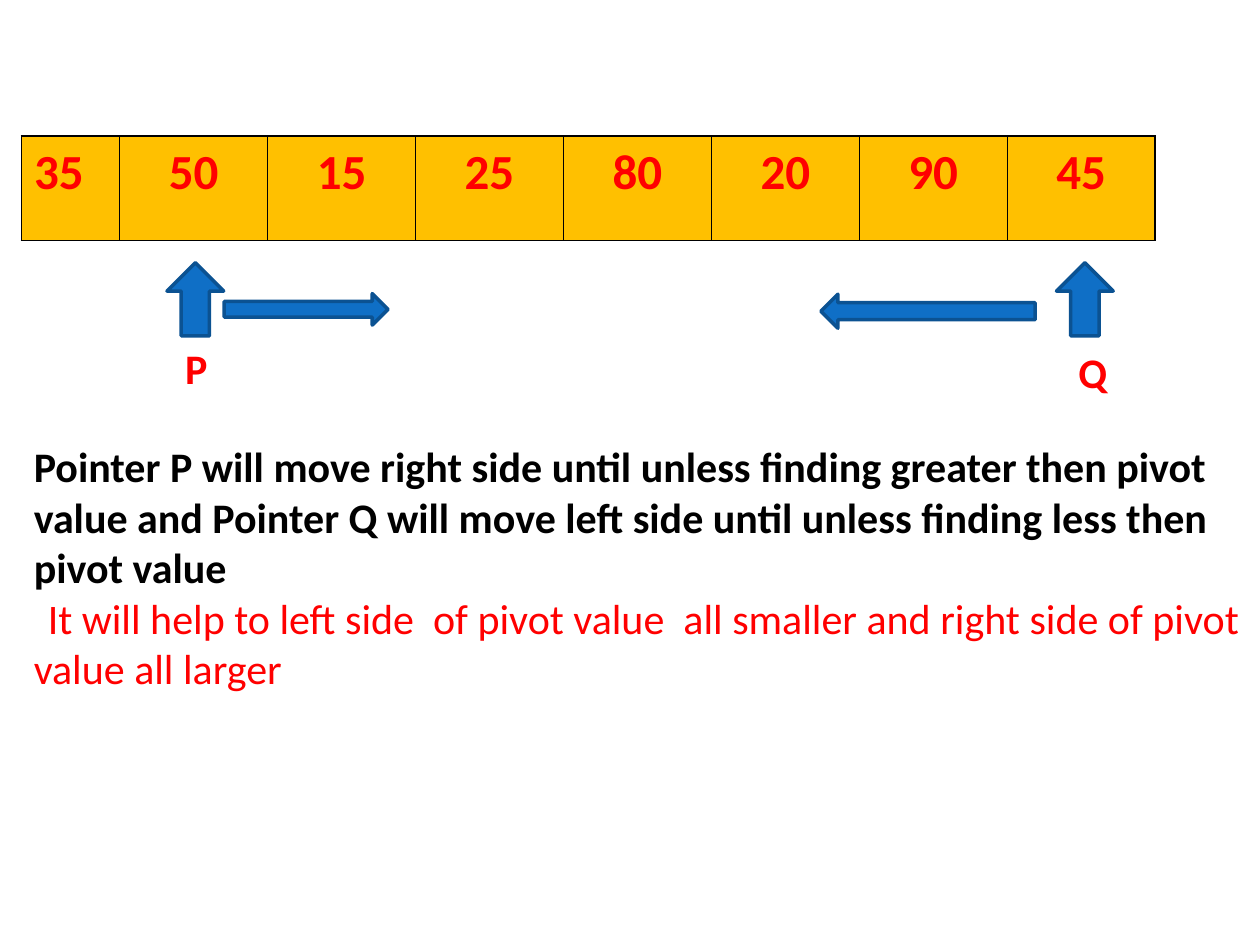
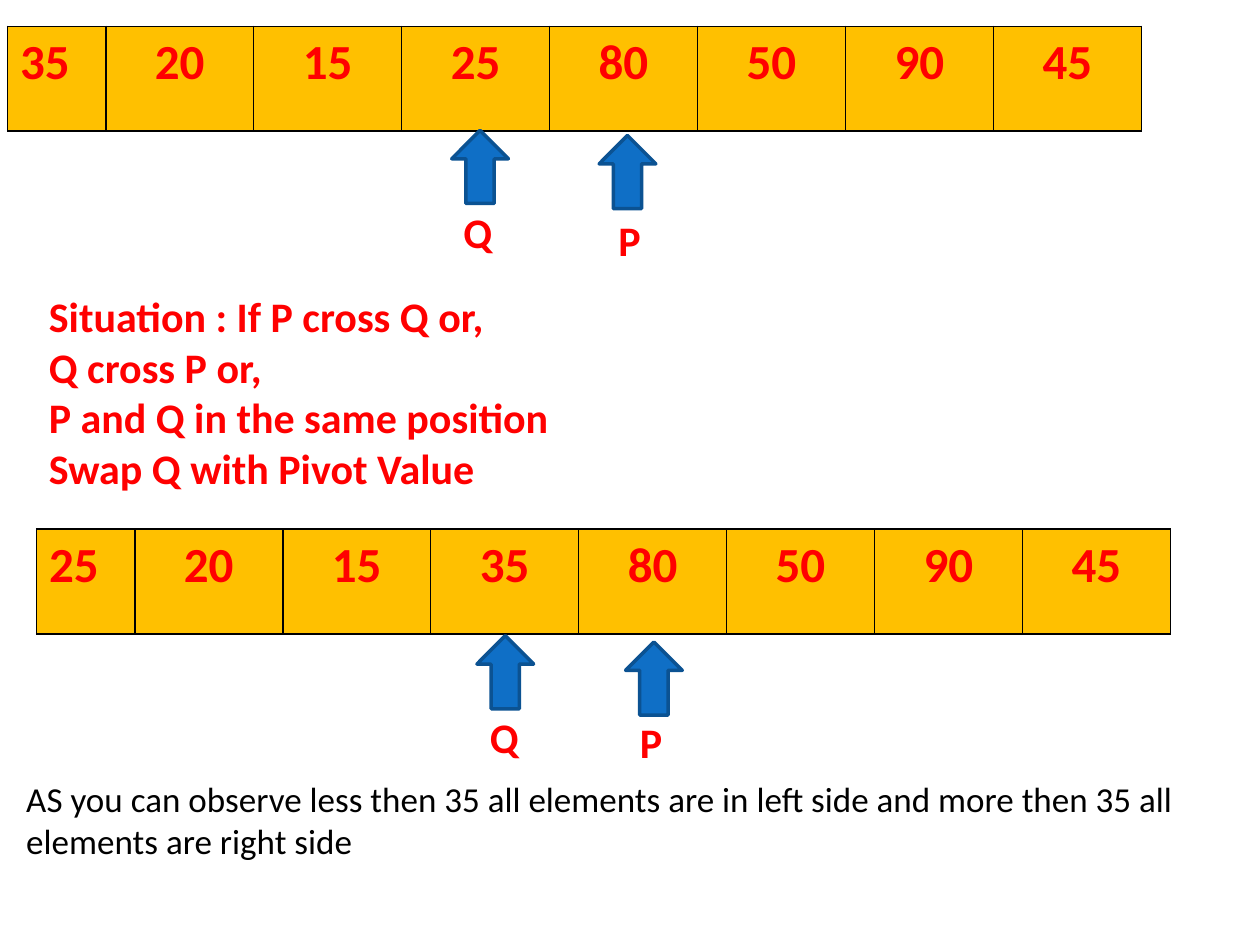
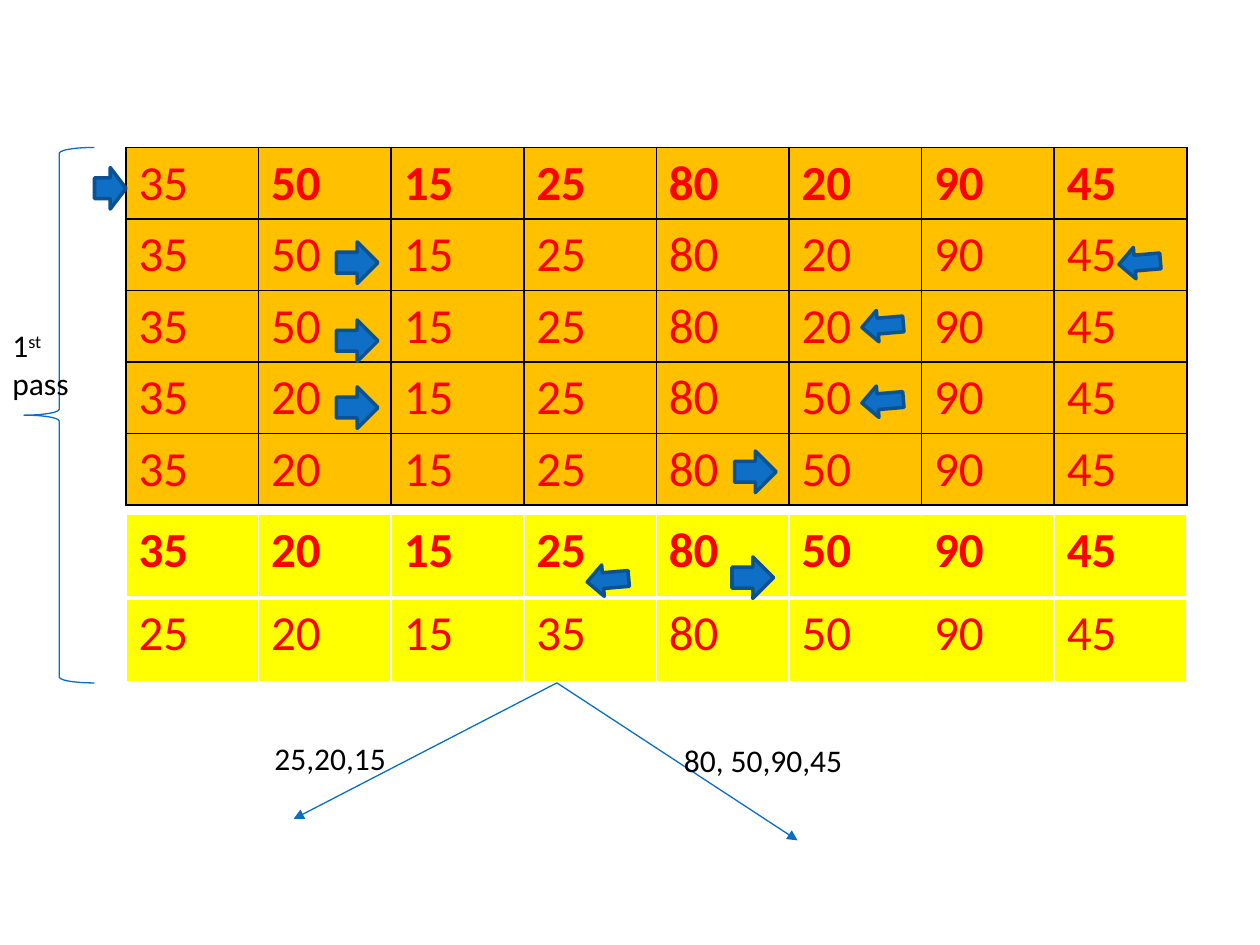
from pptx import Presentation
from pptx.dml.color import RGBColor
from pptx.enum.shapes import MSO_CONNECTOR, MSO_SHAPE
from pptx.enum.text import MSO_AUTO_SIZE, PP_ALIGN
from pptx.oxml.ns import qn
from pptx.util import Inches, Pt
from lxml.etree import SubElement, Element

COLS, ROWS = 100, 75
FONT = "Calibri"
BLACK = RGBColor(0x00, 0x00, 0x00)
WHITE = RGBColor(0xFF, 0xFF, 0xFF)
RED = RGBColor(0xFF, 0x00, 0x00)
AMBER = RGBColor(0xFF, 0xC0, 0x00)
YELLOW = RGBColor(0xFF, 0xFF, 0x00)
BLUE = RGBColor(0x0F, 0x6F, 0xC6)
NAVY = RGBColor(0x0B, 0x52, 0x92)
LINE_BLUE = RGBColor(0x0A, 0x6D, 0xC6)


def write(p, text, size=18, color=BLACK, bold=False, align=None, raised=False):
    """Add a formatted run to a paragraph."""
    if align is not None:
        p.alignment = align
    r = p.add_run()
    r.text = text
    r.font.name, r.font.size, r.font.bold = FONT, Pt(size), bold
    r.font.color.rgb = color
    if raised:
        r._r.get_or_add_rPr().set("baseline", "30000")


def set_borders(cell, color, widths):
    """Give a cell its left, right, top and bottom borders."""
    tc_pr = cell._tc.get_or_add_tcPr()
    for i, (side, width) in enumerate(zip("LRTB", widths)):
        ln = Element(qn(f"a:ln{side}"), w=str(Pt(width)))
        fill = SubElement(ln, qn("a:solidFill"))
        SubElement(fill, qn("a:srgbClr"), val=str(color))
        tc_pr.insert(i, ln)


class Deck:
    """Hold the grid, the style and the current slide."""

    def __init__(self):
        """Open an empty deck of 10 by 7.5 inches."""
        self.prs = Presentation()
        self.prs.slide_width, self.prs.slide_height = Inches(10), Inches(7.5)
        self.col = self.prs.slide_width / COLS
        self.row = self.prs.slide_height / ROWS

    def new_slide(self):
        """Start a blank slide."""
        self.s = self.prs.slides.add_slide(self.prs.slide_layouts[6])

    def at(self, x, y, *size):
        """Turn columns and rows into lengths."""
        units = (self.col, self.row) * 2
        return [round(v * u) for v, u in zip((x, y, *size), units)]

    def text(self, x, y, w, h, *paragraphs, wrap=True, **fmt):
        """Add a text box; a paragraph is a string or a list of (text, format)."""
        tf = self.s.shapes.add_textbox(*self.at(x, y, w, h)).text_frame
        tf.word_wrap, tf.auto_size = wrap, MSO_AUTO_SIZE.SHAPE_TO_FIT_TEXT
        for i, runs in enumerate(paragraphs):
            p = tf.add_paragraph() if i else tf.paragraphs[0]
            for run, extra in [(runs, {})] if isinstance(runs, str) else runs:
                write(p, run, **{**fmt, **extra})
        return tf

    def shape(self, kind, x, y, w, h, rotation=0):
        """Add a blue preset shape."""
        sp = self.s.shapes.add_shape(kind, *self.at(x, y, w, h))
        sp.shadow.inherit = False
        sp.rotation = rotation
        sp.fill.solid()
        sp.fill.fore_color.rgb = BLUE
        sp.line.color.rgb, sp.line.width = NAVY, Pt(2)
        return sp

    def brace(self, x, y, w, h):
        """Add a thin open brace."""
        sp = self.shape(MSO_SHAPE.LEFT_BRACE, x, y, w, h)
        sp.fill.background()
        sp.line.color.rgb, sp.line.width = LINE_BLUE, Pt(0.75)

    def pointer(self, label, x, y, label_x, label_y):
        """Add an upward arrow and its red letter."""
        self.shape(MSO_SHAPE.RIGHT_ARROW, x, y, 5.8, 4.5, rotation=270)
        self.text(label_x, label_y, 4.3 if label == "Q" else 3.8, 5, label,
                  wrap=label == "P", size=24, color=RED, bold=True)

    def step_right(self, x, y, w=3.3):
        """Add a small arrow to the right."""
        self.shape(MSO_SHAPE.RIGHT_ARROW, x, y, w, 3.3)

    def step_left(self, x, y):
        """Add a small, slightly tilted arrow to the left."""
        self.shape(MSO_SHAPE.DOWN_ARROW, x, y, 2.5, 3.3, rotation=85.2)

    def table(self, x, y, w, h, rows, is_bold, fill=AMBER, border=BLACK,
              first=None, align=None, rule=1):
        """Add a grid of values; first is the first column's width, rule the inner line's."""
        last, n = len(rows) - 1, len(rows[0])
        table = self.s.shapes.add_table(last + 1, n, *self.at(x, y, w, h)).table
        table.first_row = table.horz_banding = False
        first = first or w / n
        for j, column in enumerate(table.columns):
            column.width = round(self.col * ((w - first) / (n - 1) if j else first))
        for i, values in enumerate(rows):
            table.rows[i].height = round(self.row * h / len(rows))
            for j, value in enumerate(values):
                cell = table.cell(i, j)
                cell.fill.solid()
                cell.fill.fore_color.rgb = fill
                write(cell.text_frame.paragraphs[0], str(value), size=28, color=RED,
                      bold=is_bold(i, j), align=align if j else None)
                set_borders(cell, border,
                            (1, 1, rule if i else 1, rule if i < last else 1))

    def array(self, x, y, values):
        """Add one bold row of values with a narrow first cell."""
        self.table(x, y, 90, 8.3, [values], lambda i, j: True,
                   first=7.8, align=PP_ALIGN.CENTER)

    def arrow(self, start, end):
        """Add a thin line with an arrowhead at its end."""
        c = self.s.shapes.add_connector(MSO_CONNECTOR.STRAIGHT,
                                        *self.at(*start), *self.at(*end))
        c.line.color.rgb, c.line.width = LINE_BLUE, Pt(0.75)
        SubElement(c.line._get_or_add_ln(), qn("a:tailEnd"), type="triangle")
        SubElement(c._element.spPr, qn("a:effectLst"))


def pointers_slide(d):
    """Show how both pointers move."""
    d.new_slide()
    d.array(1.7, 10.8, [35, 50, 15, 25, 80, 20, 90, 45])
    d.pointer("P", 12.6, 21.5, 13.7, 26.7)
    d.pointer("Q", 83.2, 21.5, 84.6, 27)
    d.shape(MSO_SHAPE.RIGHT_ARROW, 17.8, 23.3, 13, 2.5)
    d.shape(MSO_SHAPE.DOWN_ARROW, 72.3, 16.2, 2.7, 17, rotation=90)
    tf = d.text(
        1.7, 34.5, 98.3, 21.2,
        [("Pointer P will move right side until unless finding greater then pivot "
          "value and Pointer Q will move left side until unless finding less then "
          "pivot value", {"bold": True})],
        [("It will help to left side  of pivot value  all smaller and right side "
          "of pivot value all larger", {"color": RED})], size=24)
    tf.paragraphs[1]._p.get_or_add_pPr().set("indent", str(Pt(8)))


def crossing_slide(d):
    """Show the swap once the pointers have crossed."""
    d.new_slide()
    d.text(2.9, 22.6, 98.3, 17.2, "Situation : If P cross Q or,", "Q cross P or,",
           "P and Q in the same position", "Swap Q with Pivot Value",
           size=24, color=RED, bold=True)
    d.array(0.6, 2.1, [35, 20, 15, 25, 80, 50, 90, 45])
    d.pointer("P", 46.9, 11.4, 48.1, 16.5)
    d.pointer("Q", 35.2, 11, 35.8, 15.9)
    d.array(2.9, 42, [25, 20, 15, 35, 80, 50, 90, 45])
    d.pointer("P", 49, 51.6, 49.8, 56.4)
    d.pointer("Q", 37.2, 51.1, 37.9, 56)
    d.text(1.1, 61.2, 108.1, 7.7,
           "AS you can observe less then 35 all elements are in left side "
           "and more then 35 all", "elements are right side", size=20)


def first_pass_slide(d):
    """Show every step of the first pass and the two parts it leaves."""
    d.new_slide()
    start = [35, 50, 15, 25, 80, 20, 90, 45]
    swapped = [35, 20, 15, 25, 80, 50, 90, 45]
    placed = [25, 20, 15, 35, 80, 50, 90, 45]
    d.table(10, 11.7, 84.2, 28.3, [start] * 3 + [swapped] * 2,
            lambda i, j: i == 0 and j > 0)
    d.table(10, 40.8, 84.2, 13.3, [swapped, placed], lambda i, j: i == 0,
            fill=YELLOW, border=WHITE, rule=3)
    d.step_right(7.5, 13.3, w=2.5)
    for x, y in [(26.7, 19.2), (26.7, 25.4), (26.7, 30.7), (58.3, 35.8), (58.1, 44.2)]:
        d.step_right(x, y)
    for x, y in [(89.2, 19.2), (68.8, 24.2), (68.8, 30.2), (47, 44.4)]:
        d.step_left(x, y)
    d.brace(1.9, 11.7, 5.6, 42.5)
    d.text(0, 25.4, 8.4, 7.1, [("1", {}), ("st", {"raised": True})], "pass")
    for end in [(23.3, 65), (63.3, 66.7)]:
        d.arrow((44.2, 54.2), end)
    d.text(53.3, 58.3, 14.7, 4, "80, 50,90,45", wrap=False)
    d.text(20.8, 58.2, 14.3, 4, "25,20,15")


def main():
    """Build the three slides and save them."""
    d = Deck()
    for build in (pointers_slide, crossing_slide, first_pass_slide):
        build(d)
    d.prs.save("out.pptx")


if __name__ == "__main__":
    main()
